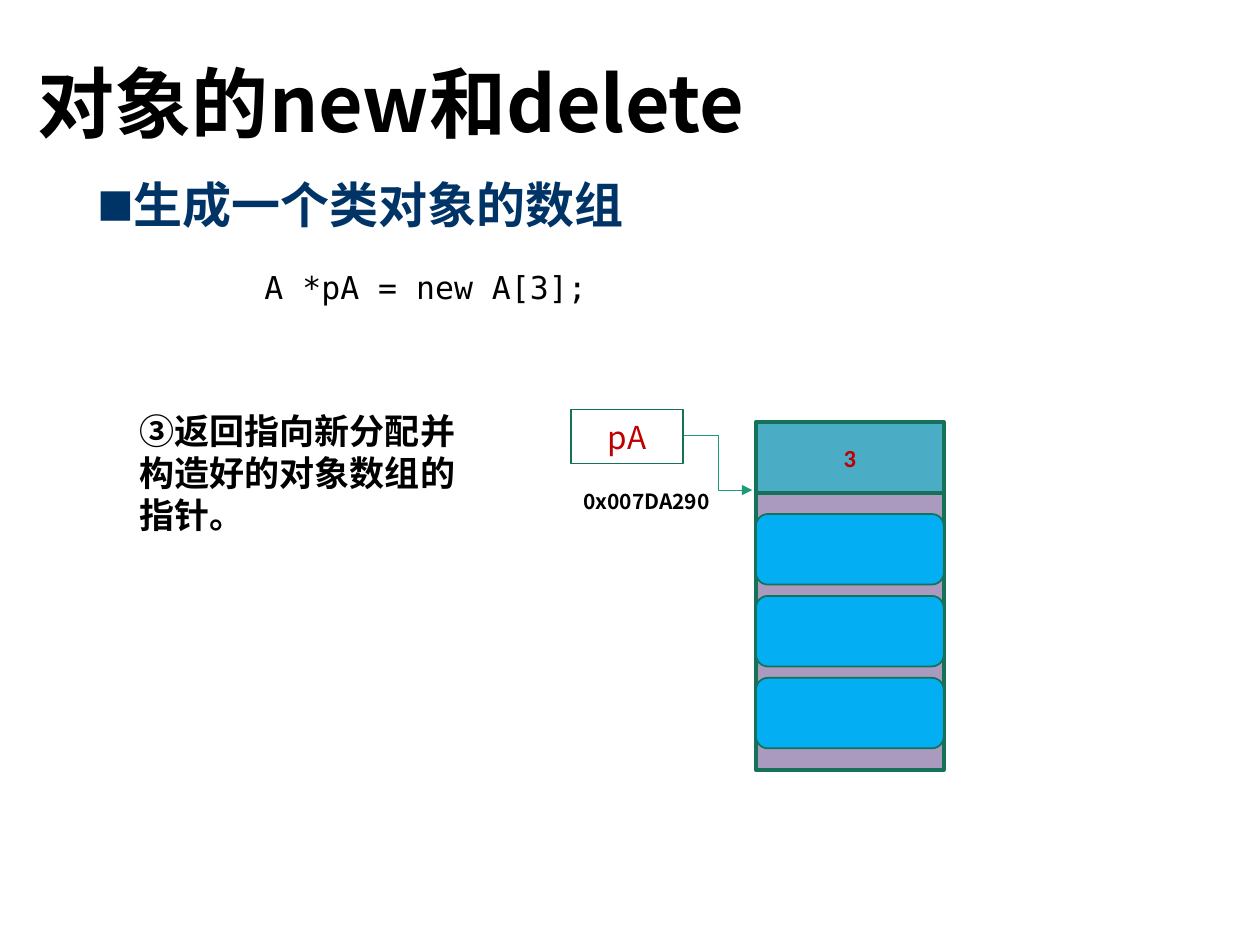
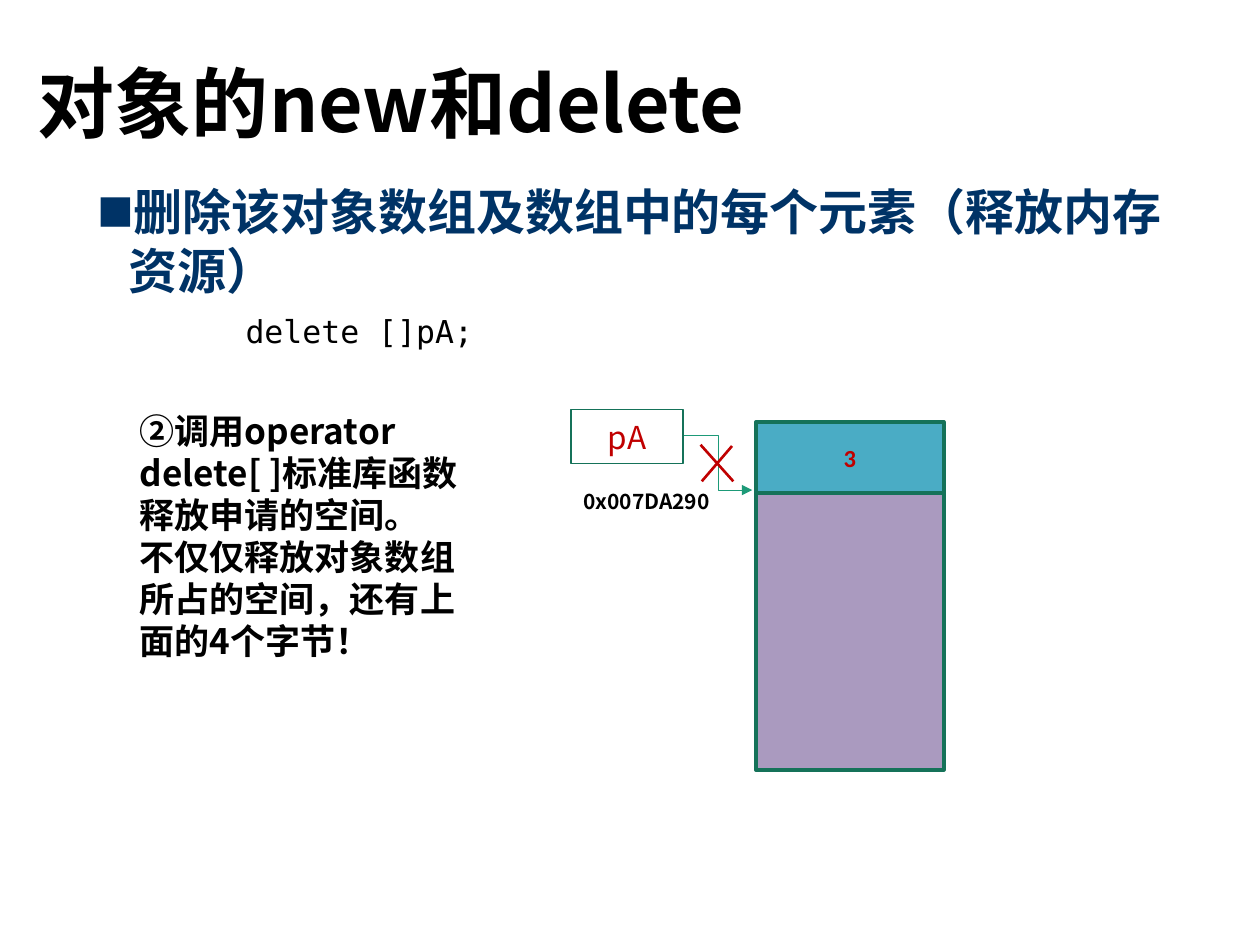
import dataclasses
import typing

import lxml.etree
import pptx
import pptx.dml.color
import pptx.enum.shapes
import pptx.enum.text
import pptx.oxml
import pptx.oxml.ns
import pptx.util

Inches = pptx.util.Inches
Shape = pptx.enum.shapes.MSO_SHAPE
Connector = pptx.enum.shapes.MSO_CONNECTOR
Align = pptx.enum.text.PP_ALIGN
Anchor = pptx.enum.text.MSO_ANCHOR
AutoSize = pptx.enum.text.MSO_AUTO_SIZE
qn = pptx.oxml.ns.qn

SANS, MONO, NUMERAL = "Noto Sans CJK SC", "DejaVu Sans Mono", "Calibri"
BLACK, WHITE, NAVY, RED = "000000", "FFFFFF", "003366", "C00000"
EDGE, ARROW = "157259", "1D9A78"
HEAP, COUNTER, OBJECT = "AA9ABF", "4AACC5", "03AEF3"
TITLE = "对象的new和delete"
ARRAY_LEFT, ARRAY_WIDTH, CELL_HEIGHT = 6, 1.49, 0.56
FIRST_OBJECT_TOP, OBJECT_PITCH = 4.08, 0.65


@dataclasses.dataclass(frozen=True)
class Box:
    """Place of an element in inches."""
    left: float
    top: float
    width: float
    height: float

    def lengths(self) -> list[int]:
        """Return the place as slide lengths."""
        return [Inches(v) for v in dataclasses.astuple(self)]


@dataclasses.dataclass(frozen=True)
class Block:
    """Filled and outlined part of the memory diagram."""
    box: Box
    fill: str
    line_width: float = 2.25
    geometry: typing.Any = Shape.RECTANGLE
    text: str = ""
    font: str = SANS
    size: float = 18
    bold: bool = False


@dataclasses.dataclass(frozen=True)
class Stroke:
    """Line between two points in inches."""
    start: tuple[float, float]
    end: tuple[float, float]
    color: str
    width: float
    kind: typing.Any = Connector.STRAIGHT
    arrow: bool = False


@dataclasses.dataclass(frozen=True)
class Step:
    """Content that differs between the slides."""
    heading: str
    heading_spacing: float
    code: str
    code_box: Box
    remark: list[str]
    remark_box: Box
    object_count: int = 0
    released: bool = False


HEAP_BLOCK = Block(Box(ARRAY_LEFT, 3.9, ARRAY_WIDTH, 2.21), HEAP)
COUNT_BLOCK = Block(Box(ARRAY_LEFT, 3.35, ARRAY_WIDTH, CELL_HEIGHT), COUNTER,
                    text="3", font=NUMERAL, size=14, bold=True)
POINTER_BLOCK = Block(Box(4.53, 3.25, 0.89, 0.43), WHITE, 1, text="pA")
POINTER_ARROW = Stroke((5.43, 3.46), (5.97, 3.89), ARROW, 0.5, Connector.ELBOW, True)
CROSS = [Stroke((5.56, 3.53), (5.82, 3.82), RED, 1.5),
         Stroke((5.81, 3.54), (5.57, 3.82), RED, 1.5)]

STEPS = [
    Step("生成一个类对象的数组", 0.9, "A *pA = new A[3];", Box(2, 2.08, 7.32, 0.4),
         ["③返回指向新分配并构造好的对象数组的指针。"], Box(1.01, 3.2, 2.83, 1.11),
         object_count=3),
    Step("删除该对象数组及数组中的每个元素（释放内存资源）", 1.0, "delete []pA;",
         Box(1.85, 2.43, 7.32, 0.4),
         ["②调用operator delete[ ]标准库函数释放申请的空间。",
          "不仅仅释放对象数组所占的空间，还有上面的4个字节！"],
         Box(1.01, 3.2, 2.94, 2.12), released=True),
]


def rgb(color: str) -> pptx.dml.color.RGBColor:
    """Turn a hex string into a colour."""
    return pptx.dml.color.RGBColor.from_string(color)


def write(frame: typing.Any, *paragraphs: str, font: str = SANS, size: float = 18,
          color: str = BLACK, bold: bool = False, align: typing.Any = Align.LEFT,
          anchor: typing.Any = Anchor.TOP, spacing: float = 1.0, before: float = 0,
          autosize: typing.Any = AutoSize.NONE) -> None:
    """Fill a text frame with formatted paragraphs."""
    frame.word_wrap = True
    frame.auto_size = autosize
    frame.vertical_anchor = anchor
    for index, text in enumerate(paragraphs):
        paragraph = frame.add_paragraph() if index else frame.paragraphs[0]
        paragraph.alignment = align
        paragraph.line_spacing = spacing
        paragraph.space_before = pptx.util.Pt(before)
        run = paragraph.add_run()
        run.text = text
        run.font.size = pptx.util.Pt(size)
        run.font.bold = bold
        run.font.color.rgb = rgb(color)
        run.font.name = font
        east_asian = lxml.etree.Element(qn("a:ea"), typeface=SANS)
        run.font._element.find(qn("a:latin")).addnext(east_asian)


def place(shape: typing.Any, box: Box) -> None:
    """Move a placeholder to its box."""
    shape.left, shape.top, shape.width, shape.height = box.lengths()


def add_square_bullet(paragraph: typing.Any) -> None:
    """Give a paragraph a small square bullet and a hanging indent."""
    properties = paragraph._p.get_or_add_pPr()
    properties.set("marL", str(Inches(0.25)))
    properties.set("indent", str(Inches(-0.25)))
    lxml.etree.SubElement(properties, qn("a:buSzPct"), val="75000")
    lxml.etree.SubElement(properties, qn("a:buFont"), typeface=SANS)
    lxml.etree.SubElement(properties, qn("a:buChar"), char="■")


def add_label(slide: typing.Any, box: Box, *paragraphs: str, **style: typing.Any) -> None:
    """Add a text box that grows with its text."""
    frame = slide.shapes.add_textbox(*box.lengths()).text_frame
    write(frame, *paragraphs, autosize=AutoSize.SHAPE_TO_FIT_TEXT, **style)


def add_block(slide: typing.Any, block: Block) -> None:
    """Draw one block of the memory diagram."""
    shape = slide.shapes.add_shape(block.geometry, *block.box.lengths())
    shape.shadow.inherit = False
    shape.fill.solid()
    shape.fill.fore_color.rgb = rgb(block.fill)
    shape.line.color.rgb = rgb(EDGE)
    shape.line.width = pptx.util.Pt(block.line_width)
    if block.text:
        write(shape.text_frame, block.text, font=block.font, size=block.size, color=RED,
              bold=block.bold, align=Align.CENTER, anchor=Anchor.MIDDLE)


def add_stroke(slide: typing.Any, stroke: Stroke) -> None:
    """Draw one line or arrow."""
    ends = [Inches(v) for v in stroke.start + stroke.end]
    connector = slide.shapes.add_connector(stroke.kind, *ends)
    connector.line.color.rgb = rgb(stroke.color)
    connector.line.width = pptx.util.Pt(stroke.width)
    if stroke.arrow:
        lxml.etree.SubElement(connector.line._get_or_add_ln(), qn("a:tailEnd"),
                              type="triangle")
    lxml.etree.SubElement(connector._element.spPr, qn("a:effectLst"))


def object_blocks(count: int) -> list[Block]:
    """Return the evenly spaced objects of the array."""
    return [Block(Box(ARRAY_LEFT, FIRST_OBJECT_TOP + index * OBJECT_PITCH,
                      ARRAY_WIDTH, CELL_HEIGHT), OBJECT, 1, Shape.ROUNDED_RECTANGLE)
            for index in range(count)]


def add_step(deck: typing.Any, step: Step) -> None:
    """Build the slide of one step."""
    slide = deck.slides.add_slide(deck.slide_layouts[1])
    title, body = slide.placeholders
    place(title, Box(0.2, 0.13, 8.62, 1.45))
    write(title.text_frame, TITLE, size=44, bold=True, anchor=Anchor.MIDDLE, spacing=0.9)
    place(body, Box(0.67, 1.39, 8.8, 5.19))
    write(body.text_frame, step.heading, font=MONO, size=28, color=NAVY, bold=True,
          spacing=step.heading_spacing, before=10)
    add_square_bullet(body.text_frame.paragraphs[0])

    add_label(slide, step.code_box, step.code, font=MONO)
    add_label(slide, step.remark_box, *step.remark, size=20, bold=True)
    add_label(slide, Box(4.53, 3.83, 1.47, 0.3), "0x007DA290", size=12, bold=True)
    for block in [HEAP_BLOCK, COUNT_BLOCK, *object_blocks(step.object_count), POINTER_BLOCK]:
        add_block(slide, block)
    for stroke in [POINTER_ARROW, *(CROSS if step.released else [])]:
        add_stroke(slide, stroke)


def main() -> None:
    """Build and save the slides."""
    deck = pptx.Presentation()
    deck.slide_width, deck.slide_height = Inches(10), Inches(7.5)
    for step in STEPS:
        add_step(deck, step)
    deck.save("out.pptx")


if __name__ == "__main__":
    main()
